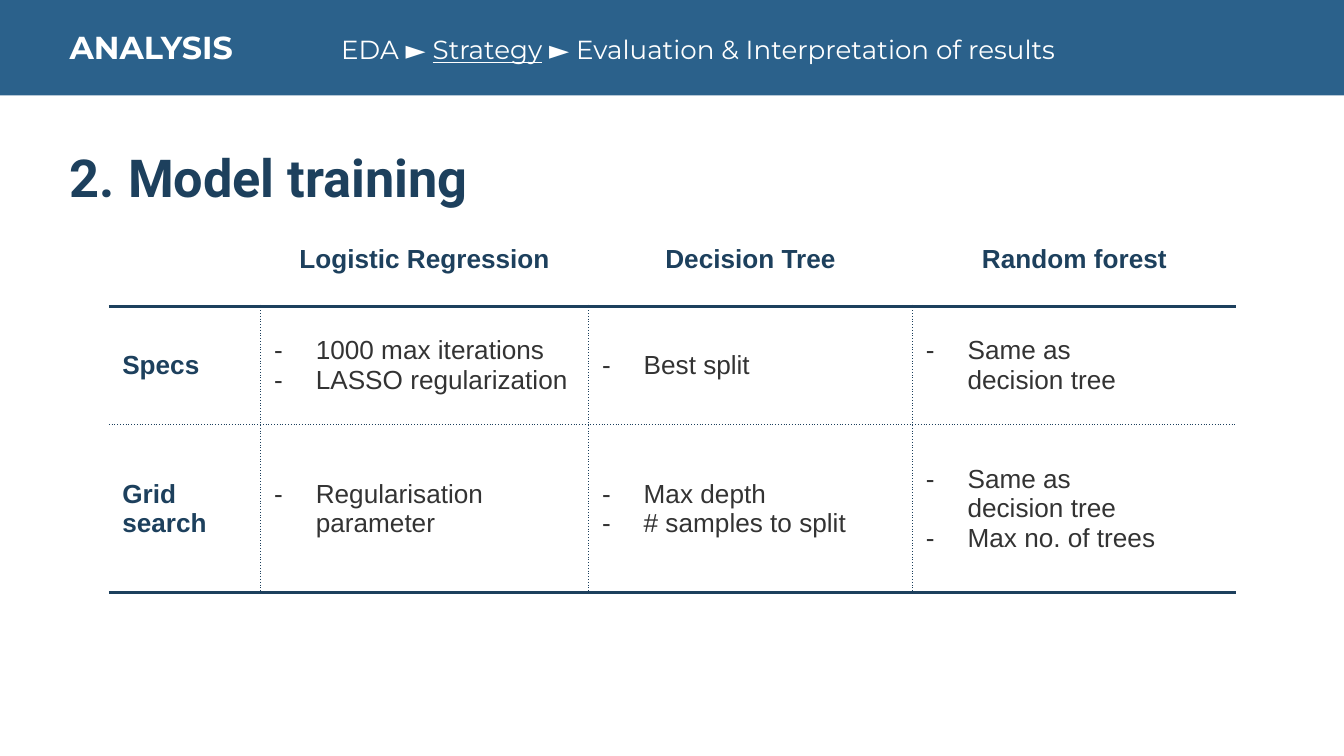
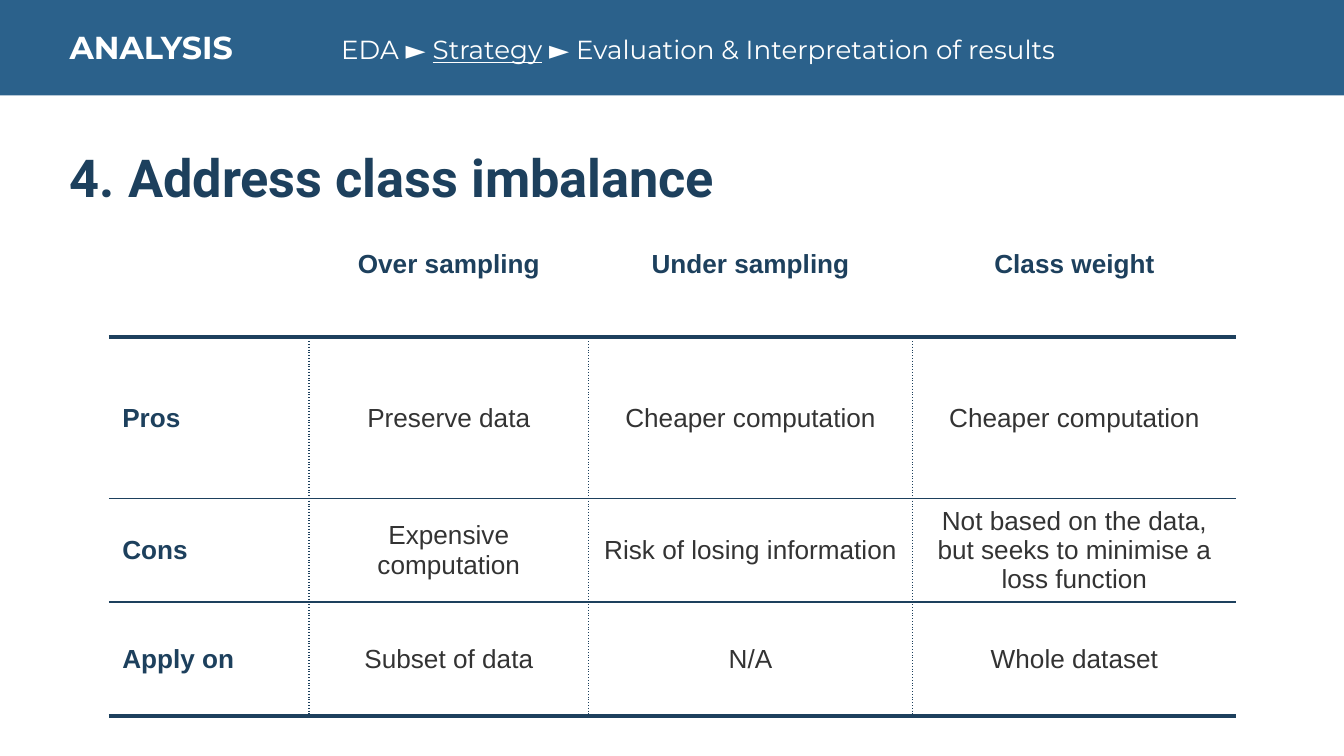
from lxml import etree
from pptx import Presentation
from pptx import util as u
from pptx.dml.color import RGBColor
from pptx.enum import shapes, text
from pptx.oxml import ns

BLUE = RGBColor(0x2B, 0x61, 0x8B)
NAVY = RGBColor(0x1D, 0x40, 0x5D)
GREY = RGBColor(0x33, 0x33, 0x33)
WHITE = RGBColor(0xFF, 0xFF, 0xFF)

TITLE_ONLY = 5
WIDTH = 10
HEIGHT = WIDTH * 9 / 16
MARGIN = 0.42
BAND_HEIGHT = 0.71
TABLE_LEFT = 0.81
BULLET_INDENT = 0.31
BREADCRUMB_TAB = 2.02

THICK = (2.25, "solid")
THIN = (1, "solid")
DOTTED = (1, "sysDot")


class Deck:
    def __init__(self):
        self.prs = Presentation()
        self.prs.slide_width = u.Inches(WIDTH)
        self.prs.slide_height = u.Inches(HEIGHT)
        background = self.prs.slide_master.background.fill
        background.solid()
        background.fore_color.rgb = BLUE
        self.slide = None

    def add_slide(self, title):
        self.slide = self.prs.slides.add_slide(self.prs.slide_layouts[TITLE_ONLY])
        self.add_title(title)
        self.add_panel()

    def box(self, left, top, width, height):
        return [u.Inches(length) for length in (left, top, width, height)]

    def style(self, paragraph, font, color, size=None, bold=None):
        paragraph.font.name = font
        paragraph.font.color.rgb = color
        if size:
            paragraph.font.size = u.Pt(size)
        paragraph.font.bold = bold

    def set_frame(self, frame):
        frame.word_wrap = True
        frame.auto_size = text.MSO_AUTO_SIZE.NONE
        frame.vertical_anchor = text.MSO_ANCHOR.TOP
        frame.margin_left = frame.margin_right = u.Inches(0.1)
        frame.margin_top = frame.margin_bottom = u.Inches(0.1)

    def add_title(self, wording):
        title = self.slide.shapes.title
        title.left, title.top, title.width, title.height = self.box(MARGIN, 0.98, 9.06, 1.74)
        self.set_frame(title.text_frame)
        title.text_frame.text = wording
        paragraph = title.text_frame.paragraphs[0]
        paragraph.alignment = text.PP_ALIGN.LEFT
        self.style(paragraph, "Roboto", NAVY, 28, True)

    def add_panel(self):
        panel = self.slide.shapes.add_shape(
            shapes.MSO_SHAPE.RECTANGLE,
            *self.box(0, BAND_HEIGHT, WIDTH, HEIGHT - BAND_HEIGHT))
        panel.shadow.inherit = False
        panel.fill.solid()
        panel.fill.fore_color.rgb = WHITE
        panel.line.fill.background()
        self.slide.shapes.title.element.addprevious(panel.element)

    def add_breadcrumb(self, section, steps, current):
        breadcrumb = self.slide.shapes.add_textbox(*self.box(MARGIN, 0.11, 9.16, 0.43))
        self.set_frame(breadcrumb.text_frame)
        paragraph = breadcrumb.text_frame.paragraphs[0]
        self.style(paragraph, "Montserrat", WHITE)
        properties = paragraph._p.get_or_add_pPr()
        tabs = etree.Element(ns.qn("a:tabLst"))
        etree.SubElement(tabs, ns.qn("a:tab"), pos=str(u.Inches(BREADCRUMB_TAB)), algn="l")
        properties.insert(0, tabs)
        self.add_run(paragraph, section + "\t", 17, bold=True)
        for index, step in enumerate(steps):
            if index:
                self.add_run(paragraph, " ► ", 14)
            self.add_run(paragraph, step, 14, underline=step == current)

    def add_run(self, paragraph, wording, size, bold=False, underline=False):
        run = paragraph.add_run()
        run.text = wording
        run.font.size = u.Pt(size)
        run.font.bold = bold
        run.font.underline = underline

    def add_table(self, top, widths, heights, rows, divider):
        table = self.slide.shapes.add_table(
            len(rows), len(widths),
            *self.box(TABLE_LEFT, top, sum(widths), sum(heights))).table
        table.first_row = table.horz_banding = False
        for column, width in zip(table.columns, widths):
            column.width = u.Inches(width)
        for row, height in zip(table.rows, heights):
            row.height = u.Inches(height)
        rules = [None, THICK] + [divider] * (len(rows) - 2) + [THICK]
        for r, row in enumerate(rows):
            for c, content in enumerate(row):
                cell = table.cell(r, c)
                self.fill_cell(cell, content, r == 0 or c == 0, c > 0)
                left = DOTTED if r and c else None
                right = DOTTED if r and c < len(widths) - 1 else None
                self.set_borders(cell, left, right, rules[r], rules[r + 1])

    def fill_cell(self, cell, content, heading, centred):
        cell.fill.background()
        cell.vertical_anchor = text.MSO_ANCHOR.MIDDLE
        bulleted = isinstance(content, list)
        cell.text = "\n".join(content) if bulleted else content
        for paragraph in cell.text_frame.paragraphs:
            self.style(paragraph, "Arial", NAVY if heading else GREY, 14, heading)
            if bulleted:
                self.add_bullet(paragraph)
            elif centred:
                paragraph.alignment = text.PP_ALIGN.CENTER

    def add_bullet(self, paragraph):
        properties = paragraph._p.get_or_add_pPr()
        properties.set("marL", str(u.Inches(BULLET_INDENT)))
        properties.set("indent", str(-u.Inches(BULLET_INDENT)))
        properties.insert(0, etree.Element(ns.qn("a:buFont"), typeface="Arial"))
        properties.insert(1, etree.Element(ns.qn("a:buChar"), char="-"))

    def set_borders(self, cell, *borders):
        properties = cell._tc.get_or_add_tcPr()
        for position, (side, border) in enumerate(zip("LRTB", borders)):
            line = etree.Element(ns.qn(f"a:ln{side}"))
            properties.insert(position, line)
            if border is None:
                etree.SubElement(line, ns.qn("a:noFill"))
                continue
            width, dash = border
            line.set("w", str(u.Pt(width)))
            fill = etree.SubElement(line, ns.qn("a:solidFill"))
            etree.SubElement(fill, ns.qn("a:srgbClr"), val=str(NAVY))
            etree.SubElement(line, ns.qn("a:prstDash"), val=dash)


TABLE_SLIDES = [
    dict(
        title="2. Model training",
        top=1.58,
        widths=[1.13, 2.44, 2.41, 2.41],
        heights=[0.7, 0.88, 1.25],
        divider=DOTTED,
        rows=[
            ["", "Logistic Regression", "Decision Tree", "Random forest"],
            ["Specs", ["1000 max iterations", "LASSO regularization"],
             ["Best split"], ["Same as \vdecision tree"]],
            ["Grid search", ["Regularisation parameter"],
             ["Max depth", "# samples to split"],
             ["Same as \vdecision tree", "Max no. of trees"]],
        ],
    ),
    dict(
        title="4. Address class imbalance",
        top=1.43,
        widths=[1.49, 2.08, 2.41, 2.41],
        heights=[1.08, 1.2, 0.77, 0.85],
        divider=THIN,
        rows=[
            ["", "Over sampling", "Under sampling", "Class weight"],
            ["Pros", "Preserve data", "Cheaper computation", "Cheaper computation"],
            ["Cons", "Expensive computation", "Risk of losing information",
             "Not based on the data, but seeks to minimise a loss function"],
            ["Apply on", "Subset of data", "N/A", "Whole dataset"],
        ],
    ),
]


def main():
    deck = Deck()
    steps = ["EDA", "Strategy", "Evaluation & Interpretation of results"]
    for content in TABLE_SLIDES:
        deck.add_slide(content["title"])
        deck.add_table(content["top"], content["widths"], content["heights"],
                       content["rows"], content["divider"])
        deck.add_breadcrumb("ANALYSIS", steps, "Strategy")
    deck.prs.save("out.pptx")


if __name__ == "__main__":
    main()
